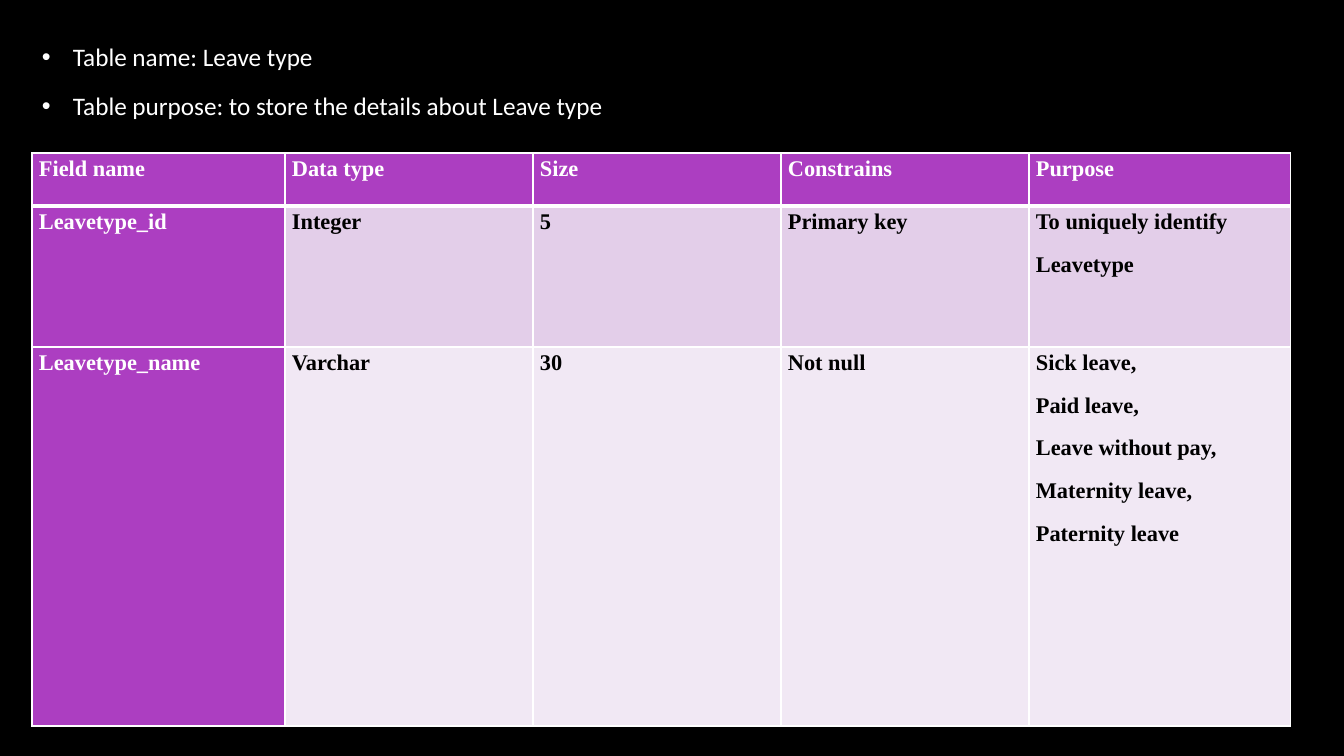
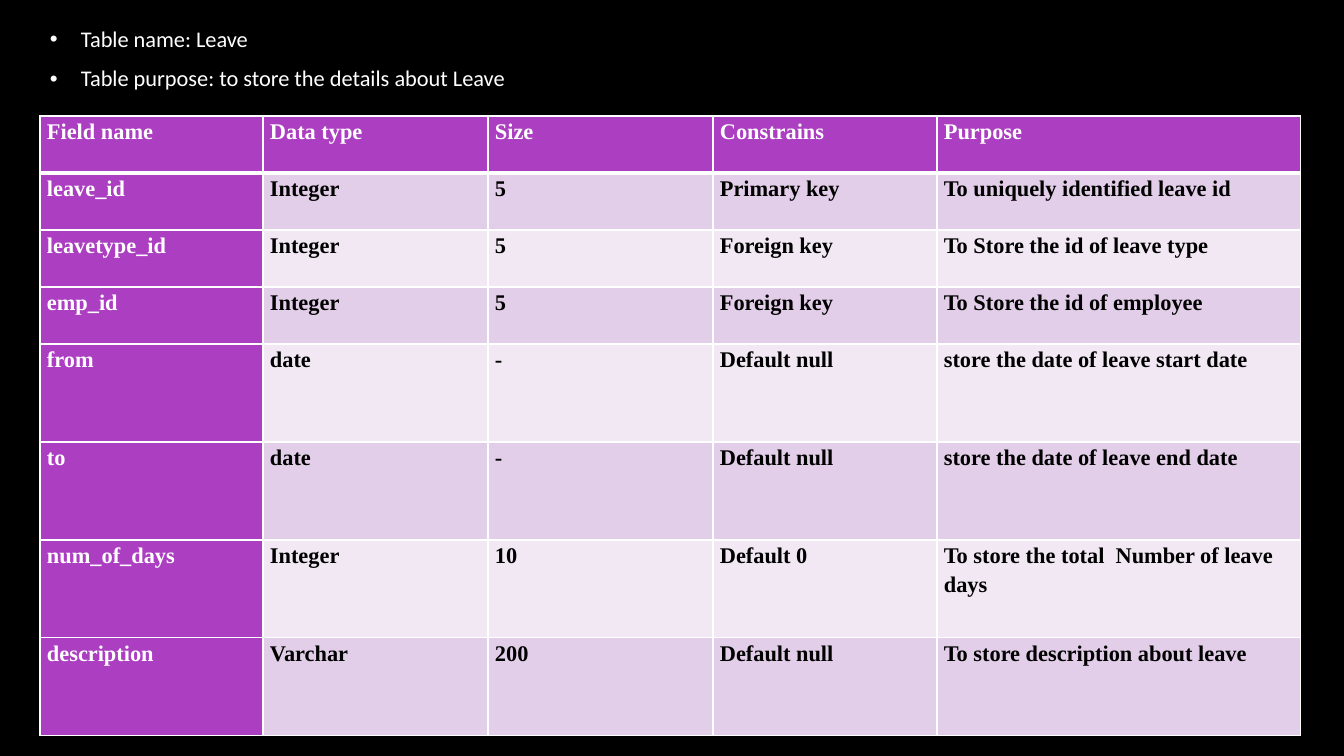
import dataclasses

import lxml.etree
import pptx
import pptx.dml.color
import pptx.enum.text
import pptx.oxml.ns
import pptx.util

SCALE = 914400 / 100.8  # EMU in one px
BLANK = 6


@dataclasses.dataclass(frozen=True)
class Theme:
    back: str = "000000"
    light: str = "FFFFFF"
    dark: str = "000000"
    accent: str = "AC3EC1"
    bands: tuple = ("E3CEE9", "F1E8F4")
    body: str = "Calibri"
    grid: str = "Times New Roman"
    cell: int = 16
    space: int = 10
    lead: float = 1.15
    thin: int = 1
    thick: int = 3


THEME = Theme()
HEADS = ["Field name", "Data type", "Size", "Constrains", "Purpose"]


# Basics
def px(count):
    return pptx.util.Emu(round(count * SCALE))


def color(code):
    return pptx.dml.color.RGBColor.from_string(code)


def node(parent, tag, **attrs):
    return lxml.etree.SubElement(parent, pptx.oxml.ns.qn(tag), attrs)


def add_text(para, text, size, face, tint, lead, bold=False):
    para.line_spacing = lead
    para.space_after = pptx.util.Pt(THEME.space)
    run = para.add_run()
    run.text = text
    run.font.name = face
    run.font.size = pptx.util.Pt(size)
    run.font.bold = bold
    run.font.color.rgb = color(tint)


def next_para(frame, index):
    return frame.add_paragraph() if index else frame.paragraphs[0]


# Bulleted lines above the table
def add_bullet(para, indent):
    props = para._p.get_or_add_pPr()
    props.set("marL", str(px(indent)))
    props.set("indent", str(-px(indent)))
    node(node(props, "a:buClr"), "a:srgbClr", val=THEME.light)
    node(props, "a:buFont", typeface="Arial")
    node(props, "a:buChar", char="•")


def add_intro(slide, box, lines, size, lead):
    frame = slide.shapes.add_textbox(*map(px, box)).text_frame
    frame.word_wrap = True
    frame.vertical_anchor = pptx.enum.text.MSO_ANCHOR.TOP
    frame.margin_left = frame.margin_right = 0
    frame.margin_top = frame.margin_bottom = 0
    for index, line in enumerate(lines):
        para = next_para(frame, index)
        add_bullet(para, 31)
        add_text(para, line, size, THEME.body, THEME.light, lead)


# Table
def add_edges(cell, row):
    props = cell._tc.get_or_add_tcPr()
    heavy = {0: "B", 1: "T"}.get(row)
    for side in "LRTB":
        width = THEME.thick if side == heavy else THEME.thin
        edge = node(props, f"a:ln{side}", w=str(pptx.util.Pt(width)))
        node(node(edge, "a:solidFill"), "a:srgbClr", val=THEME.light)


def fill_cell(cell, text, row, col):
    head = row == 0 or col == 0
    add_edges(cell, row)
    cell.fill.solid()
    fill = THEME.accent if head else THEME.bands[(row - 1) % 2]
    cell.fill.fore_color.rgb = color(fill)
    cell.margin_left = cell.margin_right = px(7)
    cell.margin_top = cell.margin_bottom = 0
    tint = THEME.light if head else THEME.dark
    for index, line in enumerate(text.split("\n")):
        para = next_para(cell.text_frame, index)
        add_text(para, line, THEME.cell, THEME.grid, tint, THEME.lead, True)


def add_grid(slide, left, top, widths, heights, rows):
    frame = slide.shapes.add_table(
        len(heights), len(widths), px(left), px(top),
        px(sum(widths)), px(sum(heights)))
    table = frame.table
    table.first_col = True
    table.horz_banding = False
    for col, width in zip(table.columns, widths):
        col.width = px(width)
    for line, height in zip(table.rows, heights):
        line.height = px(height)
    for row, texts in enumerate([HEADS] + rows):
        for col, text in enumerate(texts):
            fill_cell(table.cell(row, col), text, row, col)


# Slides
def add_type(deck):
    slide = deck.slides.add_slide(deck.slide_layouts[BLANK])
    add_intro(slide, (42, 37, 1240, 100), [
        "Table name: Leave type",
        "Table purpose: to store the details about Leave type",
    ], 18, 1.15)
    add_grid(slide, 32, 153, [253, 248, 248, 248, 262], [53, 141, 379], [
        ["Leavetype_id", "Integer", "5", "Primary key",
         "To uniquely identify\nLeavetype"],
        ["Leavetype_name", "Varchar", "30", "Not null",
         "Sick leave,\nPaid leave,\nLeave without pay,\n"
         "Maternity leave,\nPaternity leave"],
    ])


def add_leave(deck):
    slide = deck.slides.add_slide(deck.slide_layouts[BLANK])
    add_intro(slide, (50, 27, 1240, 82), [
        "Table name: Leave",
        "Table purpose: to store the details about Leave",
    ], 16, 0.95)
    heights = [57] * 4 + [98] * 4
    add_grid(slide, 40, 116, [223, 225, 225, 224, 364], heights, [
        ["leave_id", "Integer", "5", "Primary key",
         "To uniquely identified leave id"],
        ["leavetype_id", "Integer", "5", "Foreign key",
         "To Store the id of leave type"],
        ["emp_id", "Integer", "5", "Foreign key",
         "To Store the id of employee"],
        ["from", "date", "-", "Default null",
         "store the date of leave start date"],
        ["to", "date", "-", "Default null",
         "store the date of leave end date"],
        ["num_of_days", "Integer", "10", "Default 0",
         "To store the total  Number of leave days"],
        ["description", "Varchar", "200", "Default null",
         "To store description about leave"],
    ])


def main():
    deck = pptx.Presentation()
    deck.slide_width, deck.slide_height = px(1344), px(756)
    back = deck.slide_master.background.fill
    back.solid()
    back.fore_color.rgb = color(THEME.back)
    add_type(deck)
    add_leave(deck)
    deck.save("out.pptx")


if __name__ == "__main__":
    main()
